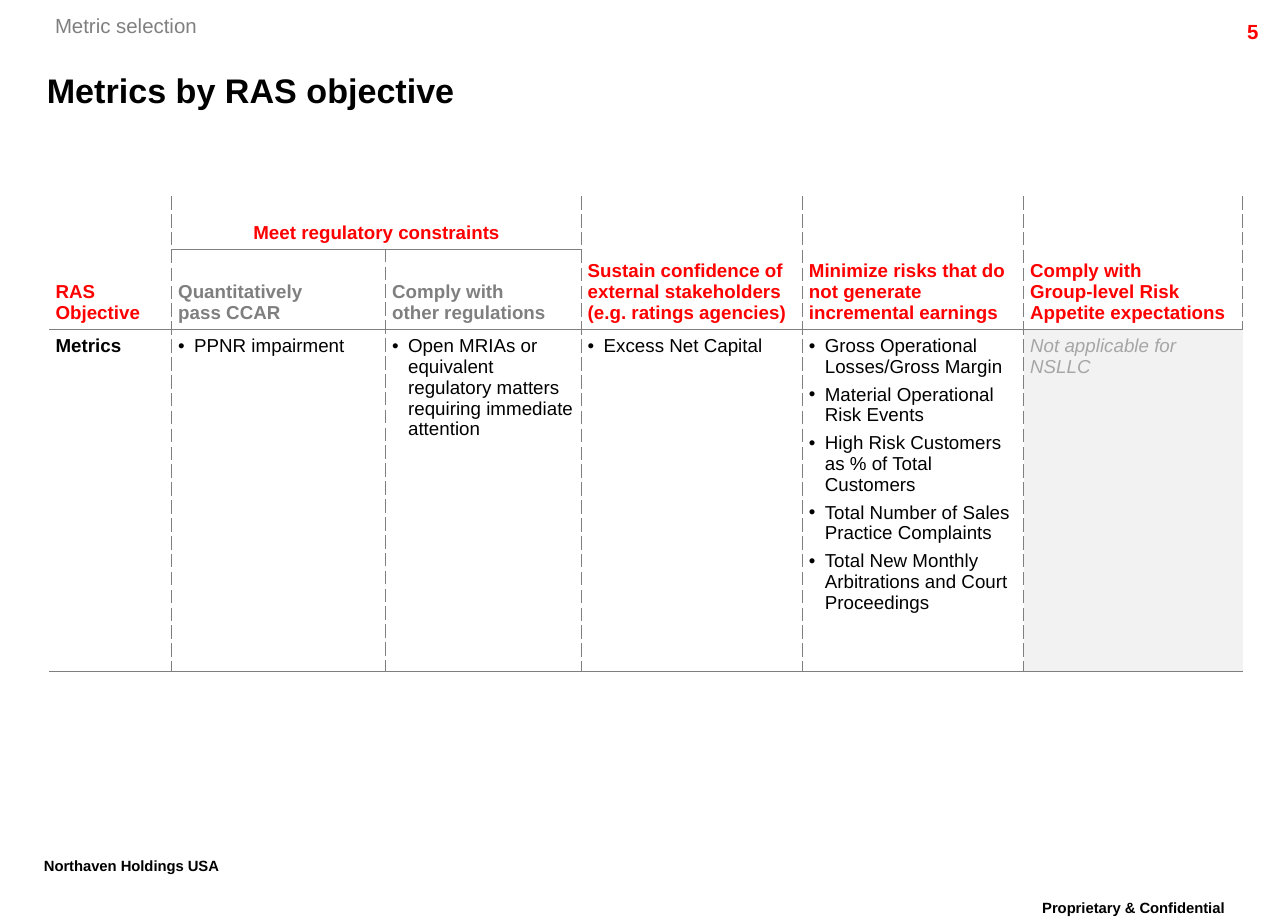
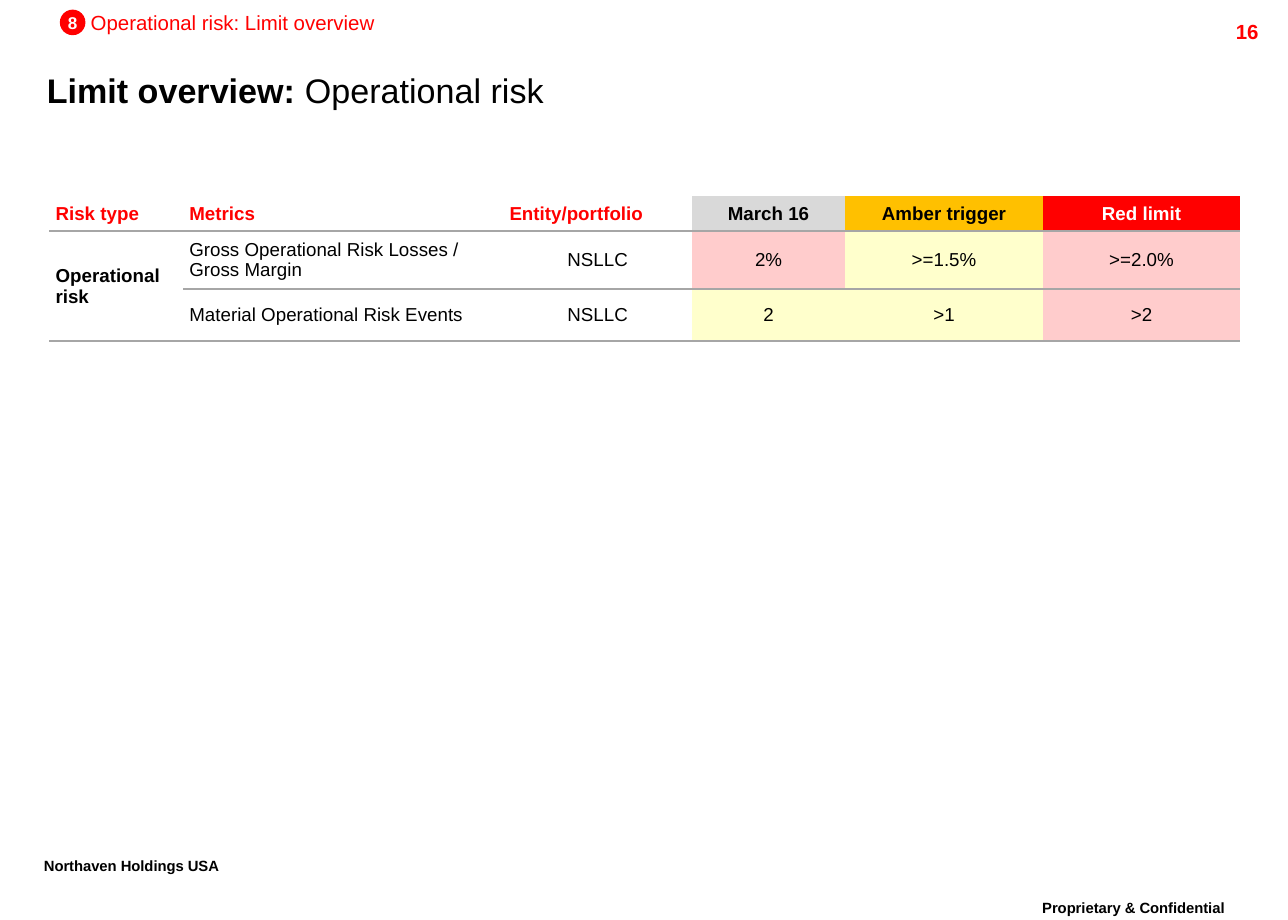
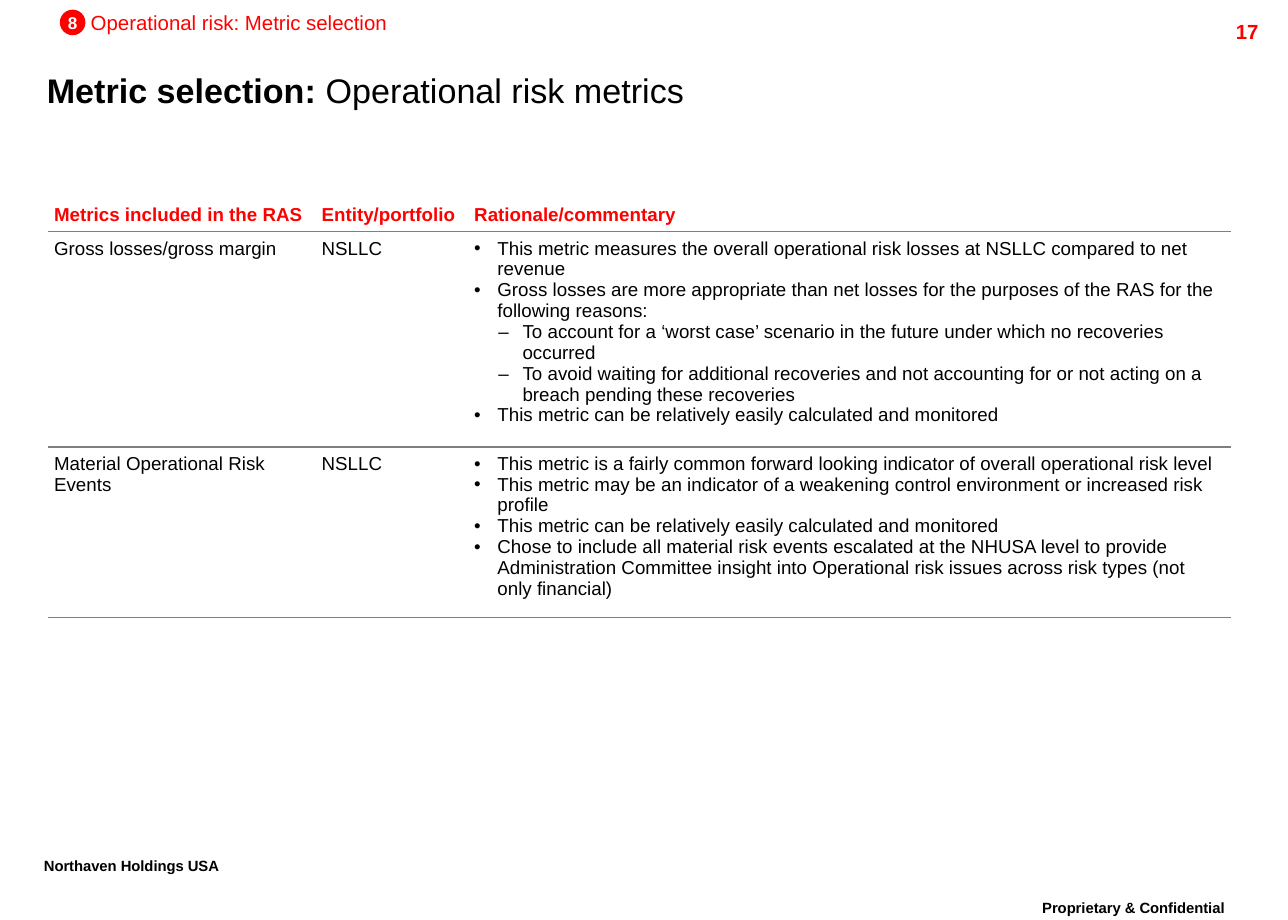
"""Build three risk appetite slides with a shared frame and real tables."""
from dataclasses import dataclass
from itertools import product

from lxml import etree
from pptx import Presentation
from pptx import util as u
from pptx.dml import color
from pptx.enum import shapes, text
from pptx.oxml import ns


@dataclass(frozen=True)
class Theme:
    font: str = "Arial"
    black: str = "000000"
    white: str = "FFFFFF"
    red: str = "FF0000"
    amber: str = "FFC000"
    pale_red: str = "FFCCCC"
    pale_amber: str = "FFFFCC"
    label_gray: str = "808080"
    rule_gray: str = "7F7F7F"
    thick_rule_gray: str = "A6A6A6"
    header_gray: str = "D9D9D9"
    panel_gray: str = "F2F2F2"
    title_size: float = 20
    footer_size: float = 15
    label_size: float = 12
    table_size: float = 11
    badge_size: float = 10


THEME = Theme()
TOP, MIDDLE, BOTTOM = text.MSO_ANCHOR.TOP, text.MSO_ANCHOR.MIDDLE, text.MSO_ANCHOR.BOTTOM
LEFT, CENTER, RIGHT = text.PP_ALIGN.LEFT, text.PP_ALIGN.CENTER, text.PP_ALIGN.RIGHT
NO_STYLE = "{2D5ABB26-0587-4C30-8999-92F81FD0307C}"
TABLE_TOP = 4.06
CELL_INSET = 0.13


@dataclass(frozen=True)
class Style:
    size: float = THEME.table_size
    color: str = THEME.black
    bold: bool = False
    italic: bool = False
    superscript: bool = False


@dataclass(frozen=True)
class Bullet:
    symbol: str
    margin: float
    hanging: float


@dataclass(frozen=True)
class Item:
    text: str
    bullet: Bullet | None = None


@dataclass(frozen=True)
class Cell:
    items: tuple[Item, ...]
    style: Style = Style()
    anchor: text.MSO_ANCHOR = TOP
    align: text.PP_ALIGN = LEFT
    fill: str | None = None
    row_span: int = 1
    column_span: int = 1


@dataclass(frozen=True)
class Grid:
    left: float
    widths: tuple[float, ...]
    heights: tuple[float, ...]
    rows: tuple[tuple[Cell | None, ...], ...]
    rule_color: str = THEME.rule_gray
    rule_width: float = 0.75
    dashed_columns: bool = False
    item_gap: float = 0


@dataclass(frozen=True)
class Page:
    number: int
    section: str
    title: str
    subtitle: str
    grid: Grid
    badge: str = ""


TIGHT = Bullet("•", 0.33, 0.33)
WIDE = Bullet("•", 0.48, 0.48)
DASH = Bullet("–", 1.0, 0.5)
BOLD = Style(bold=True)
RED_HEAD = Style(color=THEME.red, bold=True)
GRAY_HEAD = Style(color=THEME.rule_gray, bold=True)


def plain(words: str, **options) -> Cell:
    """Return a cell holding one paragraph without a bullet."""
    return Cell((Item(words),), **options)


def bullets(*lines: str, bullet: Bullet = TIGHT) -> Cell:
    """Return a cell holding a list of one level."""
    return Cell(tuple(Item(line, bullet) for line in lines))


def head(words: str, style: Style = RED_HEAD, **options) -> Cell:
    """Return a header cell set on its lower edge."""
    return plain(words, style=style, anchor=BOTTOM, **options)


def middle(words: str, align: text.PP_ALIGN = CENTER, **options) -> Cell:
    """Return a vertically centred cell."""
    return plain(words, anchor=MIDDLE, align=align, **options)


def rgb(value: str) -> color.RGBColor:
    """Return the colour of a hexadecimal string."""
    return color.RGBColor.from_string(value)


def add_words(paragraph, words: str, style: Style) -> None:
    """Add styled runs, with a line break at each newline."""
    for index, line in enumerate(words.split("\n")):
        if index:
            paragraph.add_line_break()
        run = paragraph.add_run()
        run.text = line
        run.font.name = THEME.font
        run.font.size = u.Pt(style.size)
        run.font.bold = style.bold
        run.font.italic = style.italic
        run.font.color.rgb = rgb(style.color)
        if style.superscript:
            run.font._element.set("baseline", "30000")


def set_bullet(paragraph, bullet: Bullet) -> None:
    """Give a paragraph a black bullet and a hanging indent."""
    properties = paragraph._p.get_or_add_pPr()
    properties.set("marL", str(u.Cm(bullet.margin)))
    properties.set("indent", str(-u.Cm(bullet.hanging)))
    bullet_color = etree.SubElement(properties, ns.qn("a:buClr"))
    etree.SubElement(bullet_color, ns.qn("a:srgbClr"), val=THEME.black)
    etree.SubElement(properties, ns.qn("a:buFont"), typeface=THEME.font)
    etree.SubElement(properties, ns.qn("a:buChar"), char=bullet.symbol)


def clear_insets(frame) -> None:
    """Remove the inner margins of a text frame."""
    frame.margin_left = frame.margin_right = frame.margin_top = frame.margin_bottom = 0


def add_label(slide, box: tuple[float, float, float, float], words: str, style: Style,
              align: text.PP_ALIGN = LEFT, inset: bool = True) -> None:
    """Add a one-line text box."""
    shape = slide.shapes.add_textbox(*map(u.Cm, box))
    frame = shape.text_frame
    frame.word_wrap = inset
    if not inset:
        clear_insets(frame)
    paragraph = frame.paragraphs[0]
    paragraph.alignment = align
    add_words(paragraph, words, style)


def add_badge(slide, words: str) -> None:
    """Add the numbered red circle beside the section label."""
    shape = slide.shapes.add_shape(
        shapes.MSO_SHAPE.OVAL, u.Cm(1.24), u.Cm(0.2), u.Cm(0.53), u.Cm(0.53))
    shape.shadow.inherit = False
    shape.fill.solid()
    shape.fill.fore_color.rgb = rgb(THEME.red)
    shape.line.fill.background()
    frame = shape.text_frame
    frame.word_wrap = False
    frame.vertical_anchor = MIDDLE
    clear_insets(frame)
    frame.paragraphs[0].alignment = CENTER
    add_words(frame.paragraphs[0], words, Style(THEME.badge_size, THEME.white, bold=True))


def add_frame(slide, page: Page) -> None:
    """Add the title, section label, page number and footers."""
    title = slide.shapes.title
    title.left, title.top, title.width, title.height = map(u.Cm, (0.97, 1.25, 24.08, 1.22))
    frame = title.text_frame
    frame.vertical_anchor = MIDDLE
    frame.auto_size = text.MSO_AUTO_SIZE.NONE
    clear_insets(frame)
    paragraph = frame.paragraphs[0]
    paragraph.alignment = LEFT
    add_words(paragraph, page.title, Style(THEME.title_size, bold=True))
    if page.subtitle:
        add_words(paragraph, page.subtitle, Style(THEME.title_size))

    if page.badge:
        add_badge(slide, page.badge)
        add_label(slide, (1.88, 0.2, 6.2, 0.51), page.section,
                  Style(THEME.label_size, THEME.red), inset=False)
    else:
        add_label(slide, (1.14, 0.28, 2.97, 0.51), page.section,
                  Style(THEME.label_size, THEME.label_gray), inset=False)

    footer = Style(THEME.footer_size, bold=True, superscript=True)
    add_label(slide, (23.77, 0.28, 2.54, 0.61), str(page.number),
              Style(THEME.label_size, THEME.red, bold=True), RIGHT)
    add_label(slide, (20.7, 18.42, 5.54, 0.89), "Proprietary & Confidential", footer, CENTER)
    add_label(slide, (0.66, 17.55, 4.85, 0.89), "Northaven Holdings USA", footer)


def add_border(cell, side: str, grid: Grid, dashed: bool) -> None:
    """Draw one edge of a table cell."""
    line = etree.SubElement(cell._tc.get_or_add_tcPr(), ns.qn(f"a:ln{side}"),
                            w=str(u.Pt(grid.rule_width)))
    fill = etree.SubElement(line, ns.qn("a:solidFill"))
    etree.SubElement(fill, ns.qn("a:srgbClr"), val=grid.rule_color)
    etree.SubElement(line, ns.qn("a:prstDash"), val="dash" if dashed else "solid")


def add_borders(table, grid: Grid, row: int, column: int, content: Cell) -> None:
    """Draw the edges around a cell and the cells merged into it."""
    last_row = row + content.row_span - 1
    last_column = column + content.column_span - 1
    for r, c in product(range(row, last_row + 1), range(column, last_column + 1)):
        cell = table.cell(r, c)
        origin = (r, c) == (row, column)
        if grid.dashed_columns and c == column and column > 0:
            add_border(cell, "L", grid, True)
        if (grid.dashed_columns and (origin or c == last_column)
                and last_column < len(grid.widths) - 1):
            add_border(cell, "R", grid, True)
        if origin or r == last_row:
            add_border(cell, "B", grid, False)


def fill_cell(cell, content: Cell, item_gap: float) -> None:
    """Write and format the content of a table cell."""
    cell.vertical_anchor = content.anchor
    cell.margin_left = cell.margin_right = u.Cm(CELL_INSET)
    cell.margin_top = cell.margin_bottom = u.Cm(CELL_INSET)
    if content.fill:
        cell.fill.solid()
        cell.fill.fore_color.rgb = rgb(content.fill)
    else:
        cell.fill.background()
    frame = cell.text_frame
    for index, item in enumerate(content.items):
        paragraph = frame.add_paragraph() if index else frame.paragraphs[0]
        paragraph.alignment = content.align
        if index and item_gap:
            paragraph.space_before = u.Pt(item_gap)
        if item.bullet:
            set_bullet(paragraph, item.bullet)
        add_words(paragraph, item.text, content.style)


def add_grid(slide, grid: Grid) -> None:
    """Add a table with its merged cells and rules."""
    table = slide.shapes.add_table(
        len(grid.heights), len(grid.widths), u.Cm(grid.left), u.Cm(TABLE_TOP),
        u.Cm(sum(grid.widths)), u.Cm(sum(grid.heights))).table
    table.first_row = table.horz_banding = False
    table._tbl.tblPr.find(ns.qn("a:tableStyleId")).text = NO_STYLE
    for column, width in zip(table.columns, grid.widths):
        column.width = u.Cm(width)
    for row, height in zip(table.rows, grid.heights):
        row.height = u.Cm(height)
    for r, contents in enumerate(grid.rows):
        for c, content in enumerate(contents):
            if content is None:
                continue
            cell = table.cell(r, c)
            if content.row_span * content.column_span > 1:
                cell.merge(table.cell(r + content.row_span - 1, c + content.column_span - 1))
            add_borders(table, grid, r, c, content)
            fill_cell(cell, content, grid.item_gap)


OBJECTIVES = Grid(
    1.02, (2.54, 4.43, 4.05, 4.58, 4.58, 4.53), (1.1, 1.55, 7.08),
    (
        (head("RAS Objective", row_span=2),
         head("Meet regulatory constraints", align=CENTER, column_span=2),
         None,
         head("Sustain confidence of external stakeholders (e.g. ratings agencies)", row_span=2),
         head("Minimize risks that do not generate incremental earnings", row_span=2),
         head("Comply with\nGroup-level Risk Appetite expectations", row_span=2)),
        (None,
         head("Quantitatively\npass CCAR", GRAY_HEAD),
         head("Comply with\nother regulations", GRAY_HEAD),
         None, None, None),
        (plain("Metrics", style=BOLD),
         bullets("PPNR impairment"),
         bullets("Open MRIAs or equivalent regulatory matters requiring immediate attention"),
         bullets("Excess Net Capital"),
         bullets("Gross Operational Losses/Gross Margin",
                 "Material Operational Risk Events",
                 "High Risk Customers as % of Total Customers",
                 "Total Number of Sales Practice Complaints",
                 "Total New Monthly Arbitrations and Court Proceedings"),
         plain("Not applicable for NSLLC", fill=THEME.panel_gray,
               style=Style(color=THEME.thick_rule_gray, italic=True))),
    ),
    dashed_columns=True, item_gap=4)

LIMITS = Grid(
    1.02, (2.77, 6.63, 3.91, 3.17, 4.1, 4.08), (0.69, 1.12, 1.08),
    (
        (*(middle(words, LEFT, style=RED_HEAD)
           for words in ("Risk type", "Metrics", "Entity/portfolio")),
         middle("March 16", style=BOLD, fill=THEME.header_gray),
         middle("Amber trigger", style=BOLD, fill=THEME.amber),
         middle("Red limit", style=Style(color=THEME.white, bold=True), fill=THEME.red)),
        (middle("Operational risk", LEFT, style=BOLD, row_span=2),
         middle("Gross Operational Risk Losses / Gross Margin", LEFT),
         middle("NSLLC"),
         middle("2%", fill=THEME.pale_red),
         middle(">=1.5%", fill=THEME.pale_amber),
         middle(">=2.0%", fill=THEME.pale_red)),
        (None,
         middle("Material Operational Risk Events", LEFT),
         middle("NSLLC"),
         middle("2", fill=THEME.pale_amber),
         middle(">1", fill=THEME.pale_amber),
         middle(">2", fill=THEME.pale_red)),
    ),
    rule_color=THEME.thick_rule_gray, rule_width=1.5)

RATIONALE = Grid(
    0.99, (5.54, 3.16, 15.8), (0.74, 4.43, 3.52),
    (
        tuple(map(head, ("Metrics included in the RAS", "Entity/portfolio",
                         "Rationale/commentary"))),
        (plain("Gross losses/gross margin"),
         plain("NSLLC"),
         Cell((
             Item("This metric measures the overall operational risk losses at NSLLC "
                  "compared to net revenue", WIDE),
             Item("Gross losses are more appropriate than net losses for the purposes of "
                  "the RAS for the following reasons:", WIDE),
             Item("To account for a ‘worst case’ scenario in the future under which no "
                  "recoveries occurred", DASH),
             Item("To avoid waiting for additional recoveries and not accounting for or not "
                  "acting on a breach pending these recoveries", DASH),
             Item("This metric can be relatively easily calculated and monitored", WIDE)))),
        (plain("Material Operational Risk Events"),
         plain("NSLLC"),
         bullets("This metric is a fairly common forward looking indicator of overall "
                 "operational risk level",
                 "This metric may be an indicator of a weakening control environment or "
                 "increased risk profile",
                 "This metric can be relatively easily calculated and monitored",
                 "Chose to include all material risk events escalated at the NHUSA level to "
                 "provide Administration Committee insight into Operational risk issues "
                 "across risk types (not only financial)", bullet=WIDE)),
    ))

PAGES = (
    Page(5, "Metric selection", "Metrics by RAS objective", "", OBJECTIVES),
    Page(16, "Operational risk: Limit overview", "Limit overview: ", "Operational risk",
         LIMITS, "8"),
    Page(17, "Operational risk: Metric selection", "Metric selection: ",
         "Operational risk metrics", RATIONALE, "8"),
)


def main() -> None:
    """Build and save the presentation."""
    presentation = Presentation()
    presentation.slide_width, presentation.slide_height = u.Cm(26.67), u.Cm(19.05)
    title_only = presentation.slide_layouts[5]
    for page in PAGES:
        slide = presentation.slides.add_slide(title_only)
        add_frame(slide, page)
        add_grid(slide, page.grid)
    presentation.save("out.pptx")


if __name__ == "__main__":
    main()
